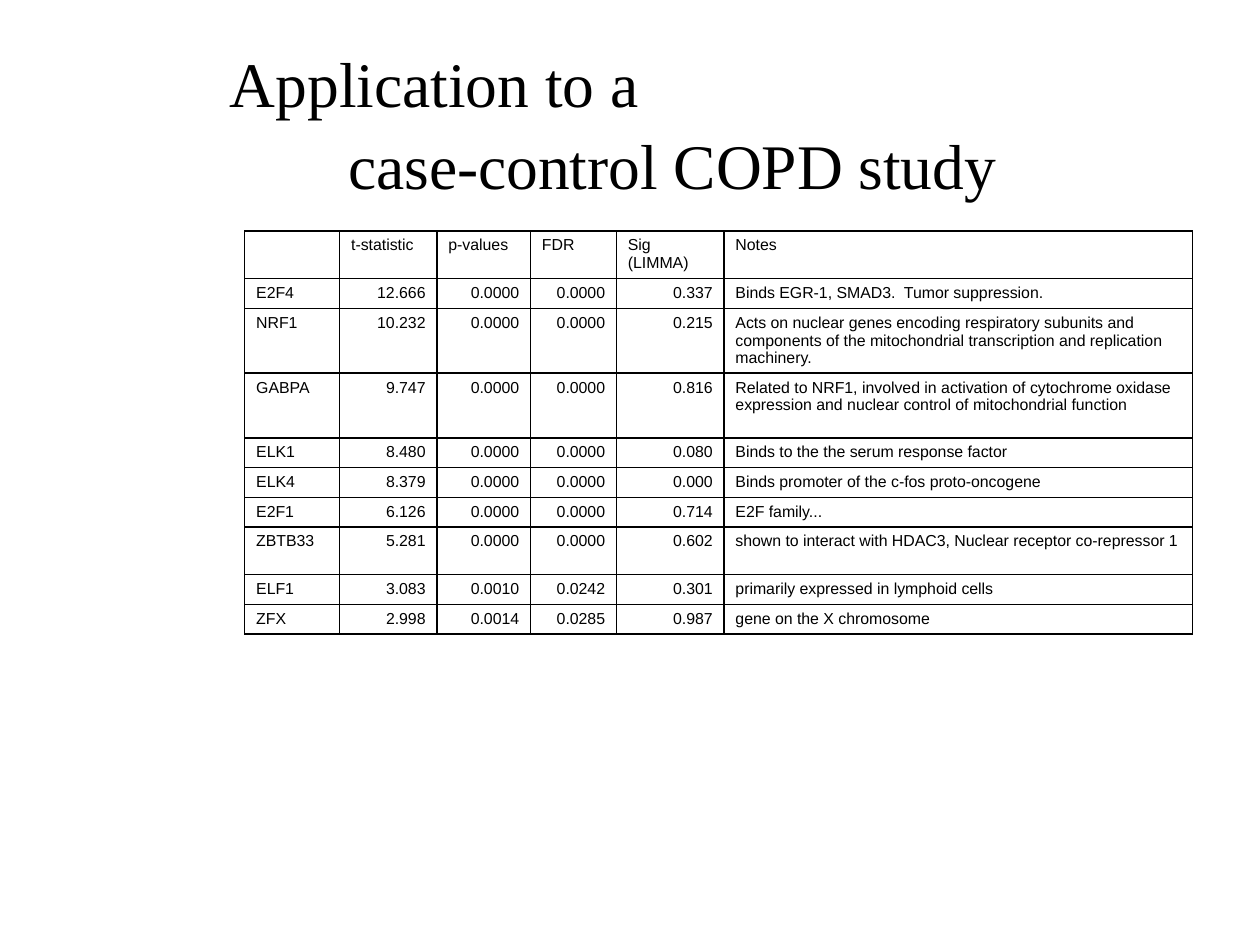
from pptx import Presentation
from pptx.dml.color import RGBColor
from pptx.enum import text
from pptx.oxml import parse_xml
from pptx.oxml import ns
from pptx.util import Cm, Pt

COLOURS = {"ink": "000000", "paper": "FFFFFF"}
BORDER_WIDTH = Pt(1)

COLUMN_WIDTHS = [2.11, 2.16, 2.08, 1.91, 2.39, 10.41]
# Row heights for one, two and three lines of text
LINE_HEIGHTS = {1: 0.66, 2: 1.06, 3: 1.44}
ROW_LINES = [2, 1, 3, 3, 1, 1, 1, 2, 1, 1]

HEADER = ["", "t-statistic", "p-values", "FDR", "Sig (LIMMA)", "Notes"]
FACTORS = [
    ["E2F4", "12.666", "0.0000", "0.0000", "0.337",
     "Binds EGR-1, SMAD3.  Tumor suppression."],
    ["NRF1", "10.232", "0.0000", "0.0000", "0.215",
     "Acts on nuclear genes encoding respiratory subunits and components "
     "of the mitochondrial transcription and replication machinery."],
    ["GABPA", "9.747", "0.0000", "0.0000", "0.816",
     "Related to NRF1, involved in activation of cytochrome oxidase "
     "expression and nuclear control of mitochondrial function"],
    ["ELK1", "8.480", "0.0000", "0.0000", "0.080",
     "Binds to the the serum response factor"],
    ["ELK4", "8.379", "0.0000", "0.0000", "0.000",
     "Binds promoter of the c-fos proto-oncogene"],
    ["E2F1", "6.126", "0.0000", "0.0000", "0.714", "E2F family..."],
    ["ZBTB33", "5.281", "0.0000", "0.0000", "0.602",
     "shown to interact with HDAC3, Nuclear receptor co-repressor 1"],
    ["ELF1", "3.083", "0.0010", "0.0242", "0.301",
     "primarily expressed in lymphoid cells"],
    ["ZFX", "2.998", "0.0014", "0.0285", "0.987", "gene on the X chromosome"],
]


def write(para, words, *, size, font, align=text.PP_ALIGN.LEFT, spacing=1.0):
    para.alignment = align
    para.line_spacing = spacing
    para.font.size = Pt(size)
    span = para.add_run()
    span.text = words
    span.font.size = Pt(size)
    span.font.name = font
    span.font.bold = False
    span.font.color.rgb = RGBColor.from_string(COLOURS["ink"])


def add_title(page):
    box = page.shapes.title
    box.left, box.top, box.width, box.height = Cm(5.11), Cm(1.12), Cm(19.66), Cm(3.12)
    frame = box.text_frame
    frame.word_wrap = True
    frame.auto_size = text.MSO_AUTO_SIZE.NONE
    frame.vertical_anchor = text.MSO_ANCHOR.MIDDLE
    frame.margin_left = frame.margin_right = frame.margin_top = frame.margin_bottom = 0
    look = dict(size=40, font="Times New Roman", spacing=1.07)
    write(frame.paragraphs[0], "Application to a", **look)
    write(frame.add_paragraph(), "case-control COPD study",
          align=text.PP_ALIGN.CENTER, **look)


def add_borders(cell):
    properties = cell._tc.get_or_add_tcPr()
    for position, side in enumerate(["lnL", "lnR", "lnT", "lnB"]):
        properties.insert(position, parse_xml(
            f'<a:{side} {ns.nsdecls("a")} w="{BORDER_WIDTH}"><a:solidFill>'
            f'<a:srgbClr val="{COLOURS["ink"]}"/></a:solidFill></a:{side}>'))


def add_factor_table(page):
    rows = [HEADER] + FACTORS
    heights = [LINE_HEIGHTS[lines] for lines in ROW_LINES]
    table = page.shapes.add_table(
        len(rows), len(HEADER), Cm(5.44), Cm(5.13),
        Cm(sum(COLUMN_WIDTHS)), Cm(sum(heights))).table
    table.first_row = table.horz_banding = False
    for column, width in zip(table.columns, COLUMN_WIDTHS):
        column.width = Cm(width)
    for row_index, (row, height) in enumerate(zip(rows, heights)):
        table.rows[row_index].height = Cm(height)
        for column_index, words in enumerate(row):
            cell = table.cell(row_index, column_index)
            cell.fill.solid()
            cell.fill.fore_color.rgb = RGBColor.from_string(COLOURS["paper"])
            add_borders(cell)
            # Figures below the header are set flush right
            is_figure = row_index > 0 and 0 < column_index < len(HEADER) - 1
            align = text.PP_ALIGN.RIGHT if is_figure else text.PP_ALIGN.LEFT
            para = cell.text_frame.paragraphs[0]
            if words:
                write(para, words, size=10, font="Arial", align=align)


def main():
    deck = Presentation()
    deck.slide_width, deck.slide_height = Cm(28), Cm(21)
    page = deck.slides.add_slide(deck.slide_layouts[5])
    add_factor_table(page)
    add_title(page)
    deck.save("out.pptx")


if __name__ == "__main__":
    main()
